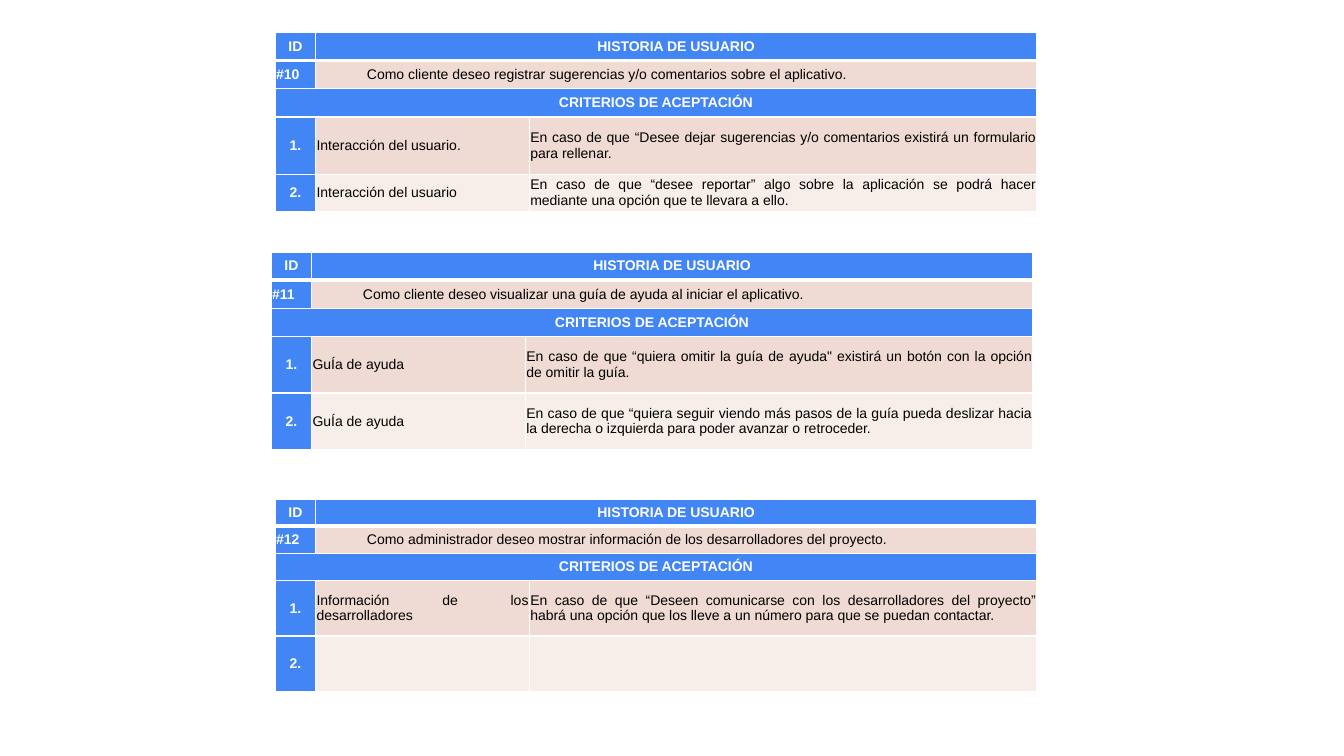
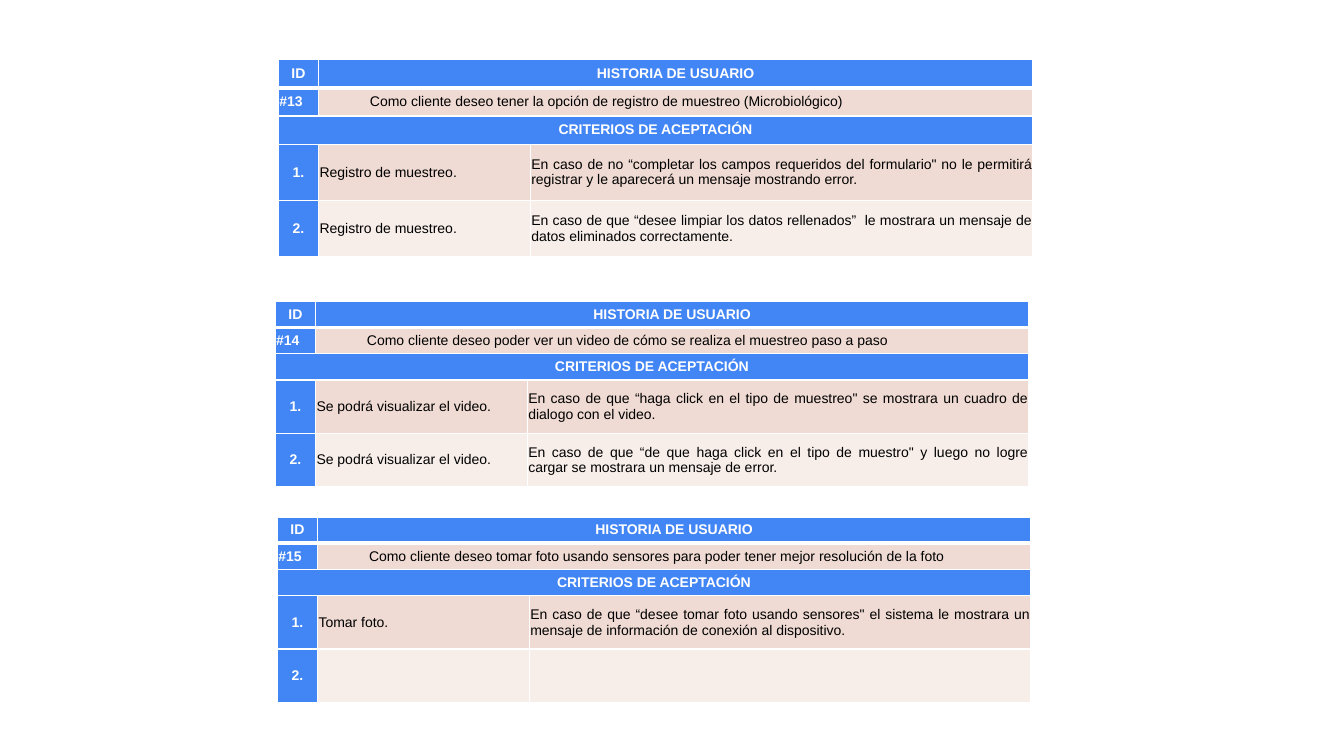
from collections import namedtuple

from pptx import Presentation
from pptx.dml.color import RGBColor
from pptx.enum.text import MSO_ANCHOR, PP_ALIGN
from pptx.oxml.ns import qn
from pptx.util import Inches, Pt
from lxml import etree

CENTER = PP_ALIGN.CENTER
JUSTIFY = PP_ALIGN.JUSTIFY
LEFT = PP_ALIGN.LEFT
MIDDLE = MSO_ANCHOR.MIDDLE

COLORS = {
    "header": "4285F4",
    "dark_band": "EFDBD3",
    "light_band": "F7EEEA",
    "white": "FFFFFF",
    "black": "000000",
}
FONT = "Arial"
FONT_SIZE = Pt(10)
CELL_MARGIN = Inches(0.01)
STORY_INDENT = Inches(0.5)
BORDER = 1
HEADER_BORDER = 3

Story = namedtuple("Story", "number text left top columns short_row tall_rows criteria")

WIDE = (0.4, 2.12, 5.03)
MEDIUM = (0.4, 2.1, 4.98)
NARROW = (0.4, 2.1, 4.97)

SLIDES = [
    [
        Story(
            "#10",
            "Como cliente deseo registrar sugerencias y/o comentarios sobre el aplicativo.",
            2.73, 0.32, WIDE, 0.28, (0.57, 0.37),
            [
                ("Interacción del usuario.",
                 "En caso de que “Desee dejar sugerencias y/o comentarios existirá un formulario para rellenar."),
                ("Interacción del usuario",
                 "En caso de que “desee reportar” algo sobre la aplicación se podrá hacer mediante una opción que te llevara a ello."),
            ],
        ),
        Story(
            "#11",
            "Como cliente deseo visualizar una guía de ayuda al iniciar el aplicativo.",
            2.69, 2.5, WIDE, 0.28, (0.56, 0.56),
            [
                ("GuÍa de ayuda",
                 "En caso de que “quiera omitir la guía de ayuda\" existirá un botón con la opción de omitir la guía."),
                ("GuÍa de ayuda",
                 "En caso de que “quiera seguir viendo más pasos de la guía pueda deslizar hacia la derecha o izquierda para poder avanzar o retroceder."),
            ],
        ),
        Story(
            "#12",
            "Como administrador deseo mostrar información de los desarrolladores del proyecto.",
            2.73, 4.95, WIDE, 0.27, (0.55, 0.55),
            [
                ("Información de los desarrolladores",
                 "En caso de que “Deseen comunicarse con los desarrolladores del proyecto” habrá una opción que los lleve a un número para que se puedan contactar."),
                ("", ""),
            ],
        ),
    ],
    [
        Story(
            "#13",
            "Como cliente deseo tener la opción de registro de muestreo (Microbiológico)",
            2.76, 0.59, MEDIUM, 0.28, (0.56, 0.56),
            [
                ("Registro de muestreo.",
                 "En caso de no “completar los campos requeridos del formulario\" no le permitirá registrar y le aparecerá un mensaje mostrando error."),
                ("Registro de muestreo.",
                 "En caso de que “desee limpiar los datos rellenados”  le mostrara un mensaje de datos eliminados correctamente."),
            ],
        ),
        Story(
            "#14",
            "Como cliente deseo poder ver un video de cómo se realiza el muestreo paso a paso",
            2.73, 2.99, NARROW, 0.26, (0.53, 0.53),
            [
                ("Se podrá visualizar el video.",
                 "En caso de que “haga click en el tipo de muestreo\" se mostrara un cuadro de dialogo con el video."),
                ("Se podrá visualizar el video.",
                 "En caso de que “de que haga click en el tipo de muestro\" y luego no logre cargar se mostrara un mensaje de error."),
            ],
        ),
        Story(
            "#15",
            "Como cliente deseo tomar foto usando sensores para poder tener mejor resolución de la foto",
            2.75, 5.13, NARROW, 0.26, (0.53, 0.53),
            [
                ("Tomar foto.",
                 "En caso de que “desee tomar foto usando sensores\" el sistema le mostrara un mensaje de información de conexión al dispositivo."),
                ("", ""),
            ],
        ),
    ],
]


def set_borders(cell, top, bottom):
    properties = cell._tc.get_or_add_tcPr()
    for side, width in (("L", BORDER), ("R", BORDER), ("T", top), ("B", bottom)):
        line = etree.SubElement(properties, qn(f"a:ln{side}"), w=str(Pt(width)))
        fill = etree.SubElement(line, qn("a:solidFill"))
        etree.SubElement(fill, qn("a:srgbClr"), val=COLORS["white"])


def style_cell(cell, row_index, fill):
    set_borders(
        cell,
        HEADER_BORDER if row_index == 1 else BORDER,
        HEADER_BORDER if row_index == 0 else BORDER,
    )
    cell.fill.solid()
    cell.fill.fore_color.rgb = RGBColor.from_string(COLORS[fill])
    cell.vertical_anchor = MIDDLE
    cell.margin_left = cell.margin_right = CELL_MARGIN
    cell.margin_top = cell.margin_bottom = CELL_MARGIN


def write_cell(cell, text, alignment, heading=False, indent=0):
    paragraph = cell.text_frame.paragraphs[0]
    paragraph.alignment = alignment
    if indent:
        properties = paragraph._p.get_or_add_pPr()
        properties.set("marL", str(indent))
        properties.set("indent", "0")
    paragraph.font.size = FONT_SIZE
    if not text:
        return
    run = paragraph.add_run()
    run.text = text
    run.font.name = FONT
    run.font.size = FONT_SIZE
    run.font.bold = heading
    run.font.color.rgb = RGBColor.from_string(COLORS["white" if heading else "black"])


def add_story_table(slide, story):
    heights = (story.short_row,) * 3 + story.tall_rows
    shape = slide.shapes.add_table(
        len(heights), len(story.columns),
        Inches(story.left), Inches(story.top),
        Inches(sum(story.columns)), Inches(sum(heights)),
    )
    table = shape.table
    table.first_row = False
    table.horz_banding = False
    for column, width in zip(table.columns, story.columns):
        column.width = Inches(width)

    row_fills = ("header", "dark_band", "header", "dark_band", "light_band")
    for row_index, (height, row_fill) in enumerate(zip(heights, row_fills)):
        table.rows[row_index].height = Inches(height)
        for column_index in range(len(story.columns)):
            fill = "header" if column_index == 0 else row_fill
            style_cell(table.cell(row_index, column_index), row_index, fill)

    for row_index, first_column in ((0, 1), (1, 1), (2, 0)):
        table.cell(row_index, first_column).merge(table.cell(row_index, 2))

    write_cell(table.cell(0, 0), "ID", CENTER, heading=True)
    write_cell(table.cell(0, 1), "HISTORIA DE USUARIO", CENTER, heading=True)
    write_cell(table.cell(1, 0), story.number, JUSTIFY, heading=True)
    write_cell(table.cell(1, 1), story.text, LEFT, indent=STORY_INDENT)
    write_cell(table.cell(2, 0), "CRITERIOS DE ACEPTACIÓN", CENTER, heading=True)
    for number, (name, condition) in enumerate(story.criteria, start=1):
        row_index = number + 2
        write_cell(table.cell(row_index, 0), f"{number}.", CENTER, heading=True)
        write_cell(table.cell(row_index, 1), name, JUSTIFY)
        write_cell(table.cell(row_index, 2), condition, JUSTIFY)


def main():
    presentation = Presentation()
    presentation.slide_width = Inches(13.33)
    presentation.slide_height = Inches(7.5)
    for stories in SLIDES:
        slide = presentation.slides.add_slide(presentation.slide_layouts[6])
        for story in stories:
            add_story_table(slide, story)
    presentation.save("out.pptx")


if __name__ == "__main__":
    main()
